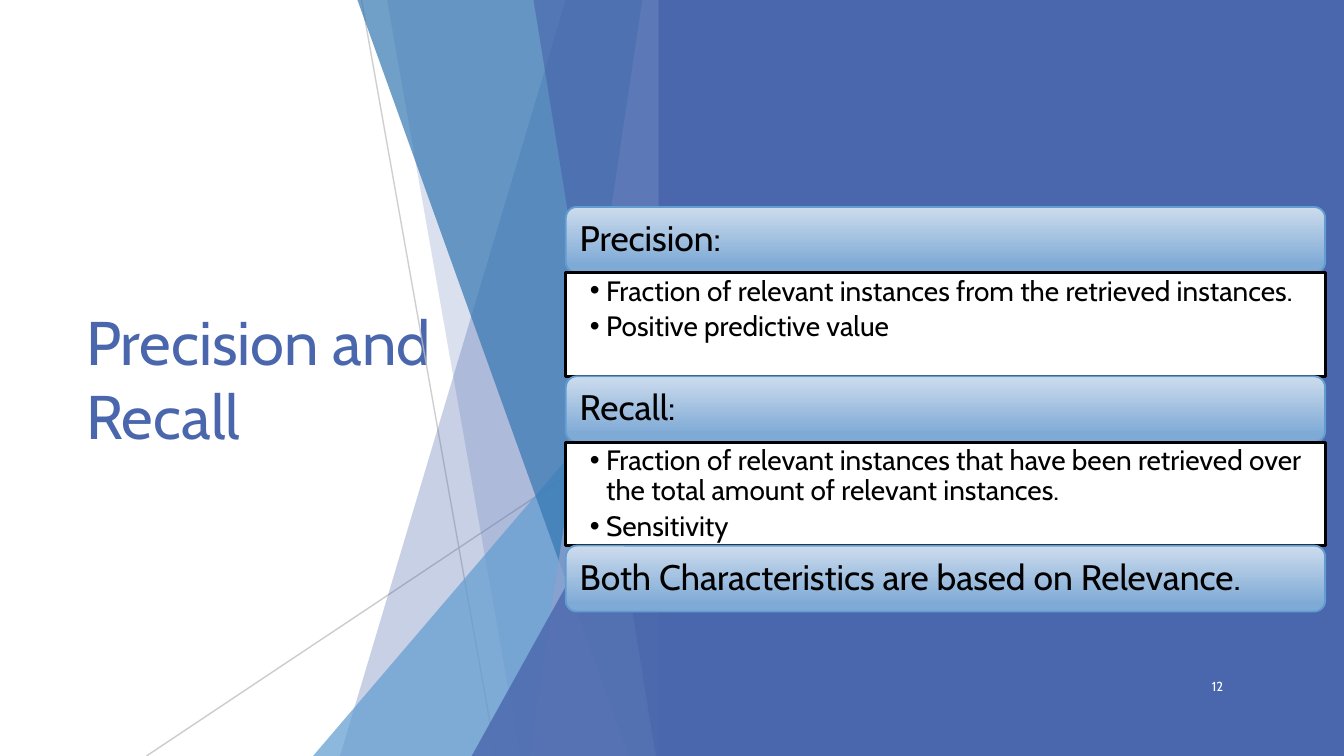
from dataclasses import dataclass

from lxml.etree import SubElement
from pptx import Presentation
from pptx.dml.color import RGBColor
from pptx.enum.shapes import MSO_CONNECTOR, MSO_SHAPE
from pptx.enum.text import MSO_ANCHOR, MSO_AUTO_SIZE, PP_ALIGN
from pptx.oxml.ns import qn
from pptx.util import Inches, Pt

WIDTH, EDGE = 10, 5
HEIGHT = WIDTH * 9 / 16
FONT = "Cabin"
BLUE, SKY, WHITE, BLACK = "4A66AC", "629DD1", "FFFFFF", "000000"
LEFT, SPAN, TOP = 4.21, 5.65, 1.54
HEAD, BODY = 0.49, 0.77


@dataclass
class Ray:
    """A thin line across the facets."""
    x1: float
    y1: float
    x2: float
    y2: float
    alpha: int


@dataclass
class Facet:
    """A pane from a slanted left side to EDGE; with a peak it is a triangle."""
    top: float
    foot: float
    color: str
    alpha: int
    peak: float = 0


@dataclass
class Topic:
    head: str
    points: tuple[str, ...] = ()


RAYS = [Ray(2.69, 0, 3.69, HEIGHT, 75), Ray(EDGE, 3.02, 1.09, HEIGHT, 80)]
FACETS = [
    Facet(4.21, 2.53, BLUE, 30),
    Facet(2.88, 3.87, BLUE, 20),
    Facet(EDGE, 2.33, SKY, 72, peak=2.5),
    Facet(2.66, 4.68, "3477B2", 70),
    Facet(4.78, 3.94, "90A2CF", 70),
    Facet(3.97, 4.88, BLUE, 65),
    Facet(EDGE, 3.51, BLUE, 80, peak=2.94),
]
TOPICS = [
    Topic("Precision:", (
        "Fraction of relevant instances from the retrieved instances.",
        "Positive predictive value",
    )),
    Topic("Recall:", (
        "Fraction of relevant instances that have been retrieved over "
        "the total amount of relevant instances.",
        "Sensitivity",
    )),
    Topic("Both Characteristics are based on Relevance."),
]


def rgb(color: str) -> RGBColor:
    return RGBColor.from_string(color)


def paint(fill, color: str, alpha: int = 100) -> None:
    """Fill solidly; alpha is the opacity in percent."""
    fill.solid()
    fill.fore_color.rgb = rgb(color)
    if alpha < 100:
        tone = fill._xPr.find(f"{qn('a:solidFill')}/{qn('a:srgbClr')}")
        SubElement(tone, qn("a:alpha"), val=str(alpha * 1000))


def style(para, size: float, color: str, align=PP_ALIGN.LEFT) -> None:
    para.font.name = FONT
    para.font.size = Pt(size)
    para.font.color.rgb = rgb(color)
    para.alignment = align


def place(shape, x: float, y: float, w: float, h: float) -> None:
    shape.left, shape.top = Inches(x), Inches(y)
    shape.width, shape.height = Inches(w), Inches(h)


def inset(frame, left: float, top: float, right: float) -> None:
    frame.margin_left, frame.margin_right = Inches(left), Inches(right)
    frame.margin_top = frame.margin_bottom = Inches(top)


def add_ray(shapes, ray: Ray) -> None:
    line = shapes.add_connector(
        MSO_CONNECTOR.STRAIGHT,
        Inches(ray.x1), Inches(ray.y1), Inches(ray.x2), Inches(ray.y2))
    line.line.width = Pt(0.75)
    paint(line.line.fill, "BFBFBF", ray.alpha)
    SubElement(line._element.spPr, qn("a:effectLst"))


def add_facet(shapes, facet: Facet) -> None:
    if facet.peak:
        shape = shapes.add_shape(
            MSO_SHAPE.ISOSCELES_TRIANGLE, Inches(facet.foot), Inches(facet.peak),
            Inches(EDGE - facet.foot), Inches(HEIGHT - facet.peak))
        shape.adjustments[0] = 1
    else:
        pen = shapes.build_freeform(Inches(facet.top), 0)
        pen.add_line_segments([
            (Inches(EDGE), 0), (Inches(EDGE), Inches(HEIGHT)),
            (Inches(facet.foot), Inches(HEIGHT))])
        shape = pen.convert_to_shape()
    shape.shadow.inherit = False
    paint(shape.fill, facet.color, facet.alpha)
    shape.line.fill.background()


def add_head(shapes, text: str, y: float) -> None:
    bar = shapes.add_shape(
        MSO_SHAPE.ROUNDED_RECTANGLE,
        Inches(LEFT), Inches(y), Inches(SPAN), Inches(HEAD))
    bar.shadow.inherit = False
    bar.fill.gradient()
    bar.fill.gradient_angle = 270
    for stop, color, spot in zip(
            bar.fill.gradient_stops, ("CDDCED", "7FAAD6"), (0, 0.88)):
        stop.color.rgb = rgb(color)
        stop.position = spot
    bar.line.color.rgb = rgb(SKY)
    bar.line.width = Pt(1)
    frame = bar.text_frame
    frame.word_wrap = True
    frame.vertical_anchor = MSO_ANCHOR.MIDDLE
    inset(frame, 0.08, 0.08, 0.08)
    para = frame.paragraphs[0]
    para.text = text
    para.line_spacing = 0.9
    style(para, 19, BLACK)


def fill_list(box, points: tuple[str, ...], y: float) -> None:
    box._element.getparent().append(box._element)  # bring to front
    place(box, LEFT, y, SPAN, BODY)
    paint(box.fill, WHITE)
    box.line.color.rgb = rgb(BLACK)
    box.line.width = Pt(1.5)
    frame = box.text_frame
    frame.auto_size = MSO_AUTO_SIZE.NONE
    frame.vertical_anchor = MSO_ANCHOR.TOP
    inset(frame, 0.18, 0.03, 0.15)
    frame.text = "\n".join(points)
    for para in frame.paragraphs:
        style(para, 15, BLACK)
        para.line_spacing = 0.9
        para.space_before, para.space_after = Pt(0), Pt(3)
        props = para._p.get_or_add_pPr()
        props.set("marL", str(Inches(0.12)))
        props.set("indent", str(Inches(-0.12)))
        bullet = props.makeelement(qn("a:buChar"), {"char": "•"})
        props.find(qn("a:defRPr")).addprevious(bullet)


def main() -> None:
    deck = Presentation()
    deck.slide_width, deck.slide_height = Inches(WIDTH), Inches(HEIGHT)
    slide = deck.slides.add_slide(deck.slide_layouts.get_by_name("Two Content"))
    shapes = slide.shapes
    title, *boxes = slide.placeholders

    place(title, 0.54, 1.13, 2.91, 3.36)
    title.text_frame.text = "Precision and Recall"
    title.text_frame.auto_size = MSO_AUTO_SIZE.NONE
    title.text_frame.vertical_anchor = MSO_ANCHOR.MIDDLE
    style(title.text_frame.paragraphs[0], 33, BLUE)

    for ray in RAYS:
        add_ray(shapes, ray)
    for facet in FACETS:
        add_facet(shapes, facet)
    panel = shapes.add_shape(
        MSO_SHAPE.RECTANGLE, Inches(4.9), 0, Inches(5.1), Inches(HEIGHT))
    panel.shadow.inherit = False
    paint(panel.fill, BLUE)
    panel.line.fill.background()

    number = shapes.add_textbox(
        Inches(8.64), Inches(4.96), Inches(0.56), Inches(0.3)).text_frame
    number.word_wrap = True
    number.vertical_anchor = MSO_ANCHOR.MIDDLE
    number.text = "12"
    style(number.paragraphs[0], 7, WHITE, PP_ALIGN.RIGHT)

    for i, topic in enumerate(TOPICS):
        y = TOP + i * (HEAD + BODY)
        add_head(shapes, topic.head, y)
        if topic.points:
            fill_list(boxes[i], topic.points, y + HEAD)
    deck.save("out.pptx")


if __name__ == "__main__":
    main()
